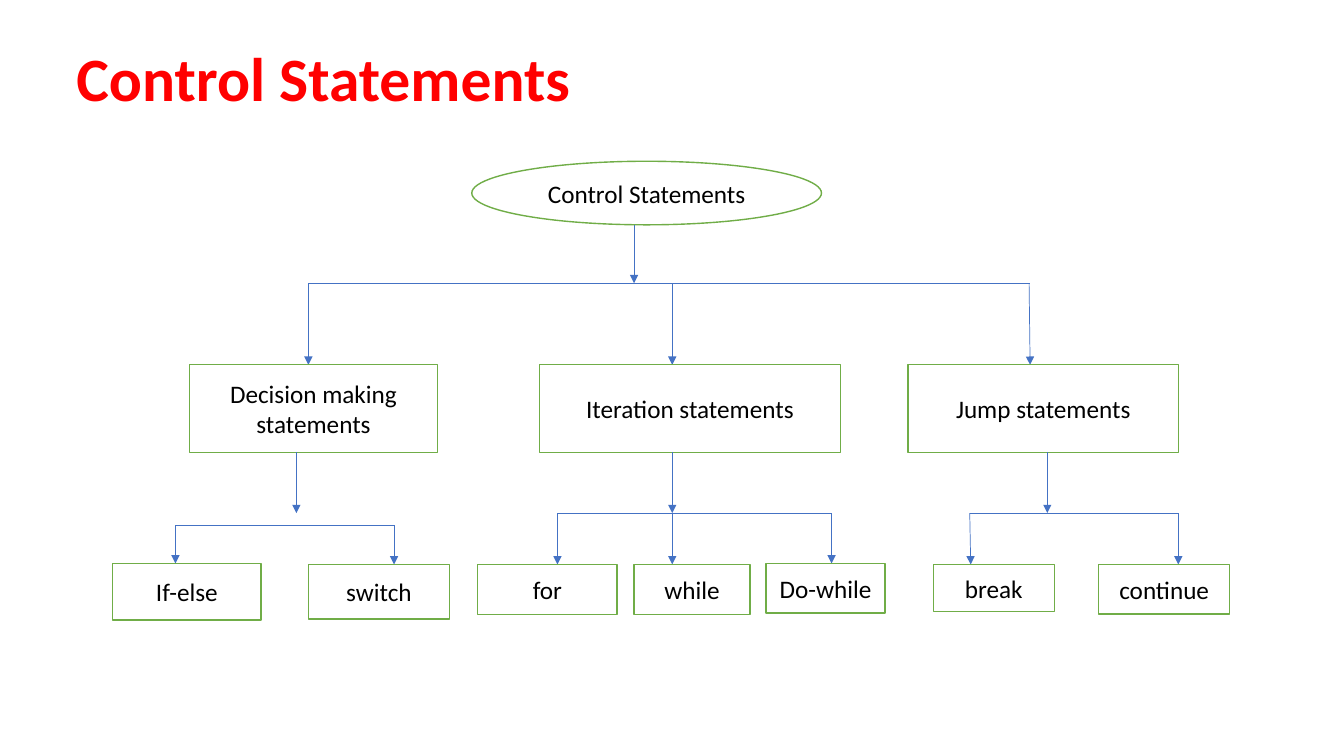
from dataclasses import dataclass

from lxml.etree import SubElement
from pptx import Presentation
from pptx.dml.color import RGBColor
from pptx.enum.shapes import MSO_CONNECTOR as Connector
from pptx.enum.shapes import MSO_SHAPE as Preset
from pptx.enum.text import MSO_ANCHOR as Anchor
from pptx.enum.text import PP_ALIGN as Align
from pptx.oxml.ns import qn
from pptx.slide import Slide
from pptx.text.text import TextFrame
from pptx.util import Pt

COLORS = {
    "title": "FF0000",
    "text": "000000",
    "box": "FFFFFF",
    "outline": "70AD47",
    "arrow": "4472C4",
}
FONT = "Calibri"
CATEGORY_TOP, CATEGORY_HEIGHT = 260.6, 62.6
FORK_Y = 366.5
LEAF_TOP = 403.2


@dataclass
class Statement:
    """A box of the tree; entry is the x of the arrow that reaches it."""
    text: str
    left: float
    width: float
    entry: float
    top: float = LEAF_TOP
    height: float = 36
    lean: float = 0  # how far the entry arrow starts left of its tip


@dataclass
class Branch:
    """A parent box, its stem down to stem_end, and a bar over its children."""
    parent: Statement
    stem_x: float
    stem_end: float
    bar_y: float
    children: list[Statement]


def color(name: str) -> RGBColor:
    return RGBColor.from_string(COLORS[name])


def write(frame: TextFrame, text: str, size: float, ink: str, bold: bool = False) -> None:
    frame.word_wrap = True
    frame.vertical_anchor = Anchor.MIDDLE
    run = frame.paragraphs[0].add_run()
    run.text = text
    run.font.name, run.font.size, run.font.bold = FONT, Pt(size), bold
    run.font.color.rgb = color(ink)


def draw_statement(slide: Slide, item: Statement, preset: Preset = Preset.RECTANGLE) -> None:
    box = slide.shapes.add_shape(
        preset, Pt(item.left), Pt(item.top), Pt(item.width), Pt(item.height))
    box.shadow.inherit = False
    box.fill.solid()
    box.fill.fore_color.rgb = color("box")
    box.line.color.rgb = color("outline")
    box.line.width = Pt(1)
    write(box.text_frame, item.text, 18, "text")
    box.text_frame.paragraphs[0].alignment = Align.CENTER


def draw_line(slide: Slide, x1: float, y1: float, x2: float, y2: float,
              arrow: bool = True) -> None:
    line = slide.shapes.add_connector(
        Connector.STRAIGHT, Pt(x1), Pt(y1), Pt(x2), Pt(y2))
    line.line.color.rgb = color("arrow")
    line.line.width = Pt(0.5)
    if arrow:
        SubElement(line.line._get_or_add_ln(), qn("a:tailEnd"), type="triangle")
    SubElement(line._element.spPr, qn("a:effectLst"))


def draw_branch(slide: Slide, branch: Branch) -> None:
    parent, children = branch.parent, branch.children
    draw_line(slide, branch.stem_x, parent.top + parent.height,
              branch.stem_x, branch.stem_end)
    first, last = children[0], children[-1]
    draw_line(slide, first.entry - first.lean, branch.bar_y,
              last.entry, branch.bar_y, arrow=False)
    for child in children:
        draw_line(slide, child.entry - child.lean, branch.bar_y,
                  child.entry, child.top)
        draw_statement(slide, child)


# Tree content
root = Statement("Control Statements", 337, 249.8, 0, 115.2, 45.4)
decision = Statement("Decision making statements", 135.4, 177.1, 220.3,
                     CATEGORY_TOP, CATEGORY_HEIGHT)
iteration = Statement("Iteration statements", 385.2, 215.3, 480.2,
                      CATEGORY_TOP, CATEGORY_HEIGHT)
jump = Statement("Jump statements", 648.7, 193, 735.8,
                 CATEGORY_TOP, CATEGORY_HEIGHT, lean=0.7)

branches = [
    Branch(root, 452.9, 202.3, 202.3, [decision, iteration, jump]),
    Branch(decision, 211.7, FORK_Y, 375.1, [
        Statement("If-else", 80.6, 105.8, 125.3, top=402.5, height=40.3),
        Statement("switch", 220.3, 100.8, 281.5, height=38.9),
    ]),
    Branch(iteration, 480.2, FORK_Y, FORK_Y, [
        Statement("for", 341.3, 99.4, 398.2),
        Statement("while", 452.9, 82.8, 480.2),
        Statement("Do-while", 547.2, 85, 594, top=402.5, height=35.3),
    ]),
    Branch(jump, 748.1, FORK_Y, FORK_Y, [
        Statement("break", 666.7, 86.4, 693.4, height=33.8, lean=0.7),
        Statement("continue", 784.8, 93.6, 841.7, height=35.3),
    ]),
]


def main() -> None:
    deck = Presentation()
    deck.slide_width, deck.slide_height = Pt(960), Pt(540)
    slide = deck.slides.add_slide(deck.slide_layouts[6])

    # Title
    title = slide.shapes.add_textbox(Pt(47.5), Pt(28.8), Pt(868.3), Pt(58.3))
    write(title.text_frame, "Control Statements", 44, "title", bold=True)
    title.text_frame.paragraphs[0].line_spacing = 0.9

    # Tree
    draw_statement(slide, root, Preset.OVAL)
    for branch in branches:
        draw_branch(slide, branch)

    deck.save("out.pptx")


if __name__ == "__main__":
    main()
